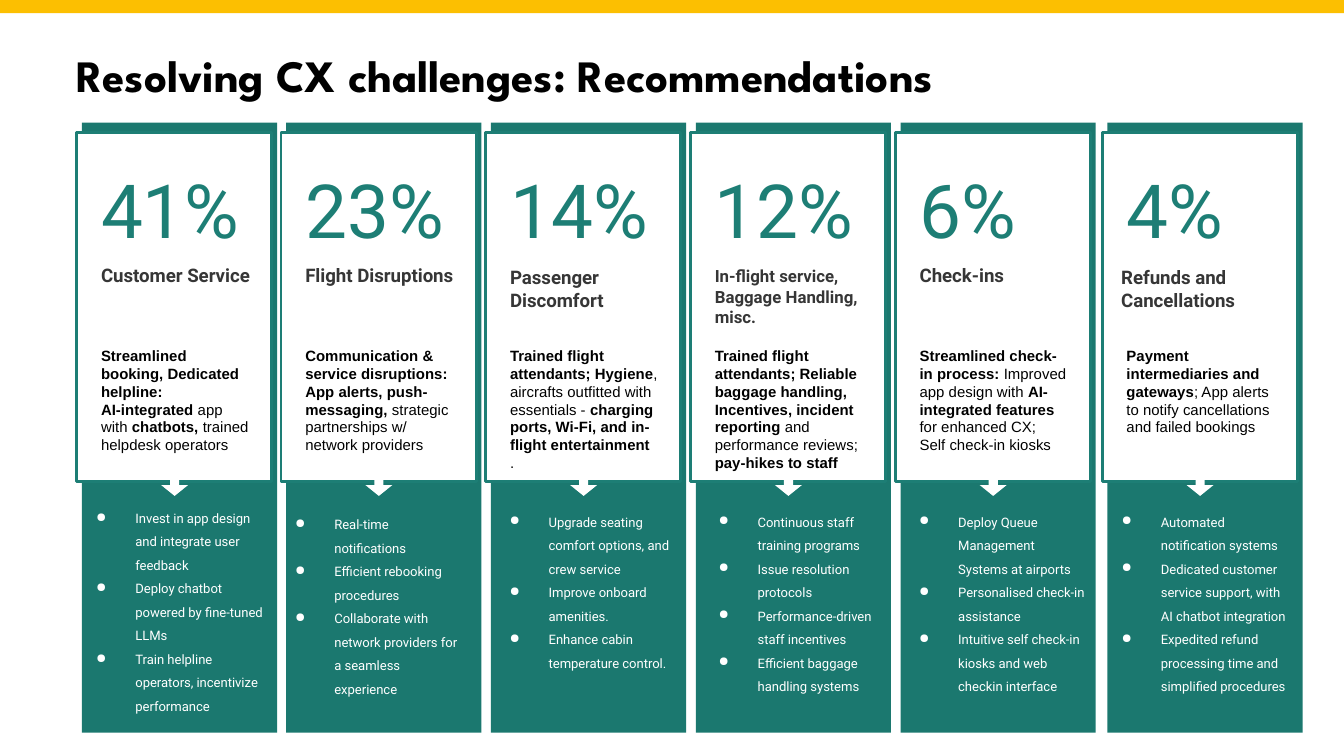
import pptx
import pptx.dml.color
import pptx.enum.shapes
import pptx.oxml.ns
import pptx.util
from lxml import etree
from pptx.util import Cm

COLORS = {
    "band": "FCBF01",
    "panel": "1B786F",
    "accent": "1D7E75",
    "heading": "363636",
    "black": "000000",
    "white": "FFFFFF",
}

# Lengths in cm; ** switches bold on and off in the actions
COLUMNS = [
    {
        "left": 1.45, "share": "41%", "topic": "Customer Service",
        "actions": ["**Streamlined booking, Dedicated helpline:**",
                    "**AI-integrated **app with **chatbots, **trained helpdesk operators"],
        "steps": ["Invest in app design and integrate user feedback",
                  "Deploy chatbot powered by fine-tuned LLMs",
                  "Train helpline operators, incentivize performance"],
        "steps_shift": -0.41, "steps_top": 9.25,
    },
    {
        "left": 5.31, "share": "23%", "topic": "Flight Disruptions",
        "actions": ["**Communication & service disruptions: App alerts, push-messaging,**"
                    " strategic partnerships w/ network providers"],
        "steps": ["Real-time notifications",
                  "Efficient rebooking procedures",
                  "Collaborate with network providers for a seamless experience"],
        "steps_shift": -0.51, "steps_top": 9.37,
    },
    {
        "left": 9.18, "share": "14%", "topic": "Passenger Discomfort",
        "actions": ["**Trained flight attendants; Hygiene**, aircrafts outfitted with essentials - "
                    "**charging ports, Wi-Fi, and in-flight entertainment**",
                    "."],
        "steps": ["Upgrade seating comfort options, and crew service",
                  "Improve onboard amenities.",
                  "Enhance cabin temperature control."],
        "steps_shift": -0.33,
    },
    {
        "left": 13.05, "share": "12%", "topic": "In-flight service, Baggage Handling, misc.",
        "topic_size": 9,
        "actions": ["**Trained flight attendants; Reliable baggage handling, Incentives, "
                    "incident reporting** and performance reviews; **pay-hikes to staff**"],
        "steps": ["Continuous staff training programs",
                  "Issue resolution protocols",
                  "Performance-driven staff incentives",
                  "Efficient baggage handling systems"],
        "steps_shift": -0.25,
    },
    {
        "left": 16.92, "share": "6%", "topic": "Check-ins",
        "actions": ["**Streamlined check-in process:** Improved app design with "
                    "**AI-integrated features **for enhanced CX;",
                    "Self check-in kiosks"],
        "steps": ["Deploy Queue Management Systems at airports",
                  "Personalised check-in assistance",
                  "Intuitive self check-in kiosks and web checkin interface"],
        "steps_shift": -0.33,
    },
    {
        "left": 20.83, "share": "4%", "topic": "Refunds and Cancellations",
        "topic_shift": -0.1,
        "actions": ["**Payment intermediaries and gateways**; App alerts to notify "
                    "cancellations and failed bookings"],
        "steps": ["Automated notification systems",
                  "Dedicated customer service support, with AI chatbot integration",
                  "Expedited refund processing time and simplified procedures"],
        "steps_shift": -0.41,
    },
]


def rgb(name):
    return pptx.dml.color.RGBColor.from_string(COLORS[name])


def add_shape(slide, kind, left, top, width, height, fill, line=None):
    shape = slide.shapes.add_shape(kind, Cm(left), Cm(top), Cm(width), Cm(height))
    shape.shadow.inherit = False
    shape.fill.solid()
    shape.fill.fore_color.rgb = rgb(fill)
    if line:
        shape.line.color.rgb = rgb(line)
        shape.line.width = pptx.util.Pt(1.5)
    else:
        shape.line.fill.background()
    return shape


def add_bullet(paragraph, color):
    paragraph.line_spacing = 1.5
    properties = paragraph._p.get_or_add_pPr()
    properties.set("marL", str(Cm(1.27)))
    properties.set("indent", str(-Cm(0.74)))
    bullet_color = etree.SubElement(properties, pptx.oxml.ns.qn("a:buClr"))
    etree.SubElement(bullet_color, pptx.oxml.ns.qn("a:srgbClr"), val=COLORS[color])
    etree.SubElement(properties, pptx.oxml.ns.qn("a:buChar"), char="●")


def add_text(slide, paragraphs, left, top, width, height, *,
             size, color, font="Roboto", bold=False, bullets=False):
    box = slide.shapes.add_textbox(Cm(left), Cm(top), Cm(width), Cm(height))
    frame = box.text_frame
    frame.word_wrap = True
    frame.margin_left = frame.margin_right = Cm(0.25)
    frame.margin_top = frame.margin_bottom = Cm(0.25)
    for index, text in enumerate(paragraphs):
        paragraph = frame.add_paragraph() if index else frame.paragraphs[0]
        if bullets:
            add_bullet(paragraph, color)
        for part, words in enumerate(text.split("**")):
            if not words:
                continue
            run = paragraph.add_run()
            run.text = words
            run.font.name = font
            run.font.size = pptx.util.Pt(size)
            run.font.bold = bold or part % 2 == 1
            run.font.color.rgb = rgb(color)


def add_column(slide, column):
    shapes = pptx.enum.shapes.MSO_SHAPE
    left = column["left"]
    text_left = left + 0.21

    # Panel behind, card in front
    add_shape(slide, shapes.RECTANGLE, left + 0.1, 2.32, 3.69, 11.53, "panel")
    add_shape(slide, shapes.RECTANGLE, left, 2.5, 3.69, 6.6, "white", line="accent")

    # Card text
    add_text(slide, [column["share"]], text_left, 2.85, 3.3, 1.9, size=40, color="accent")
    add_text(slide, [column["topic"]], text_left + column.get("topic_shift", 0), 4.78, 3.4, 1.73,
             size=column.get("topic_size", 10), color="heading", bold=True)
    add_text(slide, column["actions"], text_left, 6.3, 3.3, 2.1,
             size=8, color="black", font="Arial")

    # Arrow from card to steps
    arrow = add_shape(slide, shapes.RIGHT_ARROW, left + 1.67, 8.94, 0.36, 0.51, "white")
    arrow.rotation = 90
    arrow.adjustments[0] = 0.34
    arrow.adjustments[1] = 0.57

    # Steps
    add_text(slide, column["steps"], left + column["steps_shift"], column.get("steps_top", 9.32),
             4.19, 4.1, size=7, color="white", bullets=True)


def main():
    presentation = pptx.Presentation()
    presentation.slide_width = Cm(25.4)
    presentation.slide_height = Cm(14.29)
    slide = presentation.slides.add_slide(presentation.slide_layouts[6])

    # Top band and title
    add_shape(slide, pptx.enum.shapes.MSO_SHAPE.RECTANGLE, 0, 0, 25.4, 0.25, "band")
    add_text(slide, ["Resolving CX challenges: Recommendations"], 1.19, 0.66, 22.94, 1.27,
             size=24, color="black", font="League Spartan", bold=True)

    for column in COLUMNS:
        add_column(slide, column)

    presentation.save("out.pptx")


if __name__ == "__main__":
    main()
